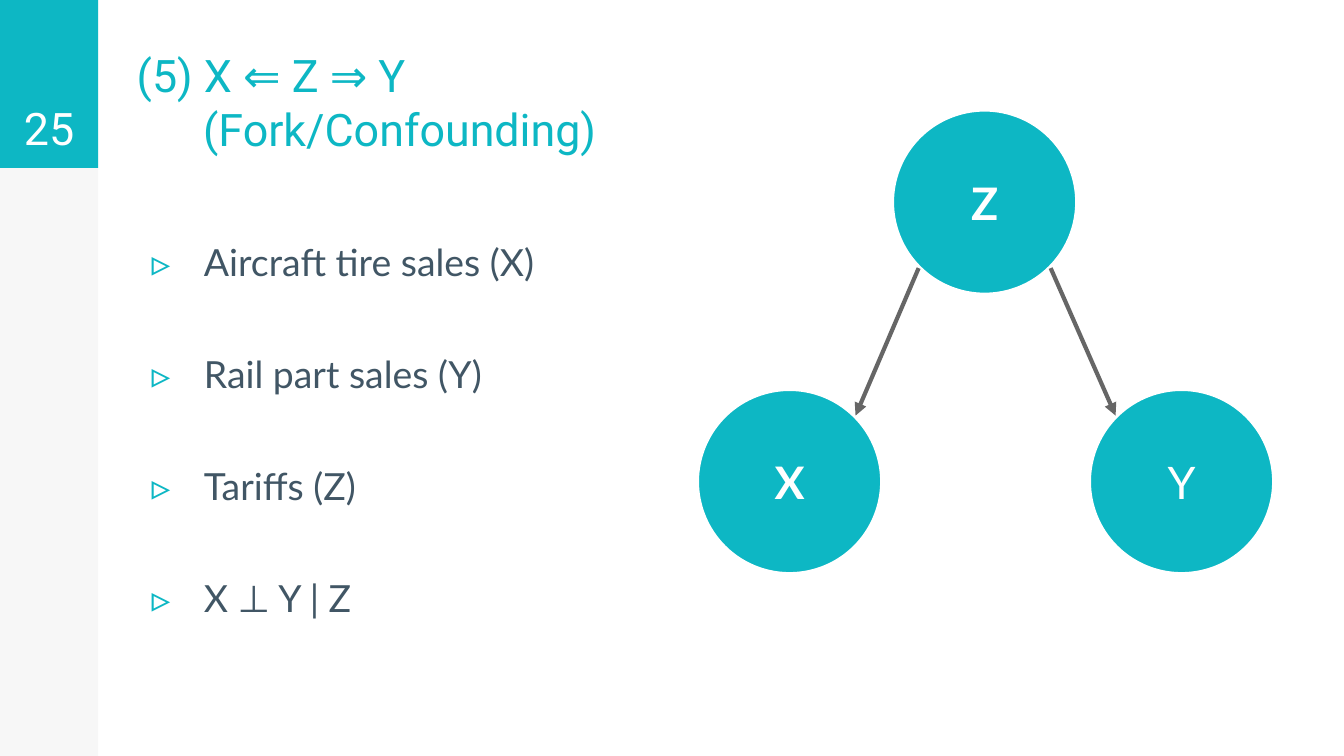
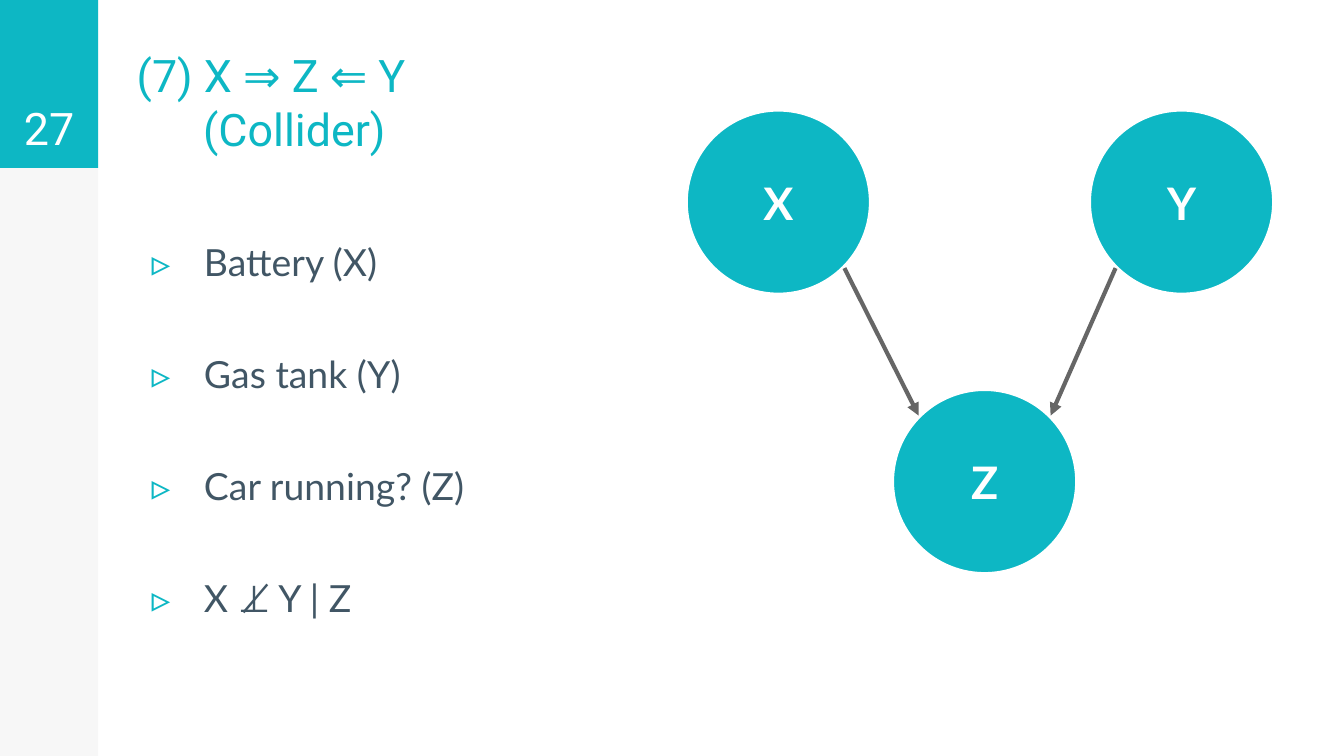
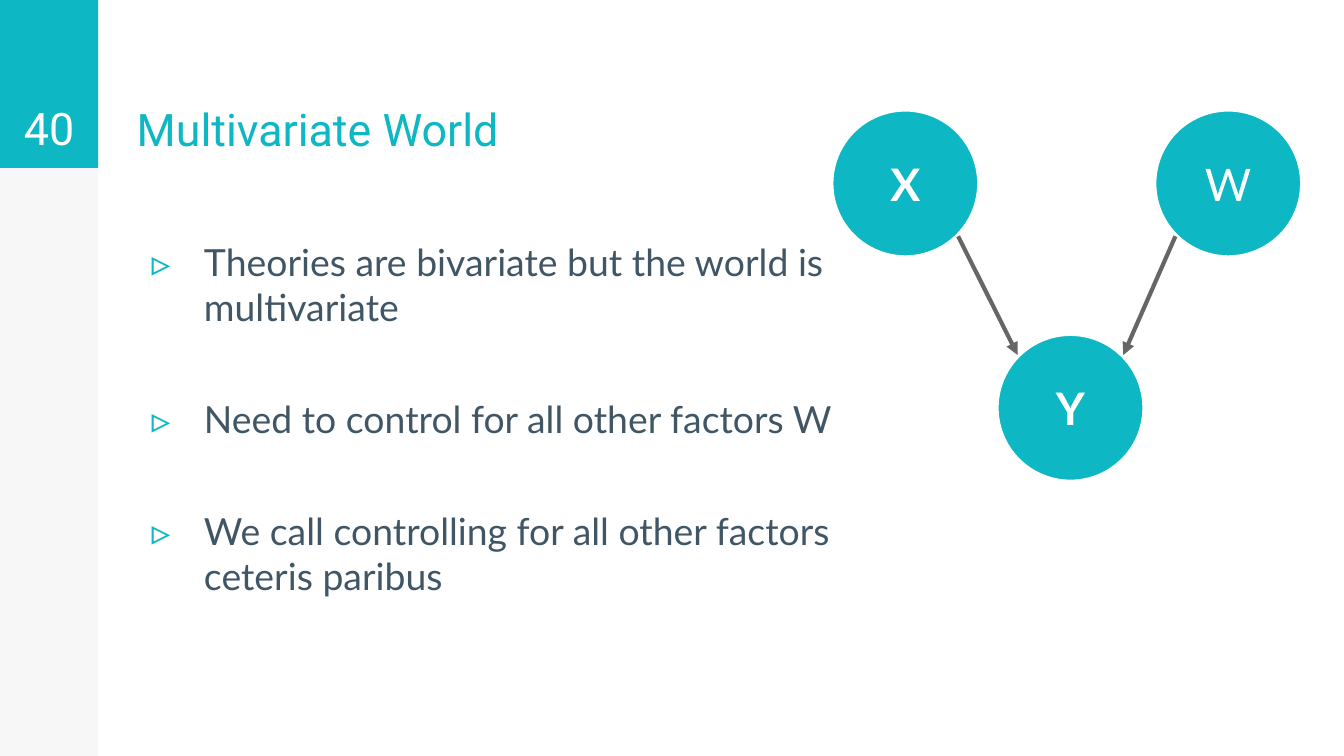
from math import sqrt
from lxml.etree import SubElement
from pptx import Presentation
from pptx.dml.color import RGBColor
from pptx.enum.shapes import MSO_CONNECTOR as Connector, MSO_SHAPE as Shape
from pptx.enum.text import MSO_ANCHOR as Anchor, PP_ALIGN as Align
from pptx.oxml.ns import qn
from pptx.util import Pt

TEAL, SLATE, GRAY, WHITE, BLACK = "0DB7C4", "415665", "666666", "FFFFFF", "000000"
HEADING_FONT, BODY_FONT = "Roboto", "Lato"
SLIDE_WIDTH, SLIDE_HEIGHT = 720, 405
BAND_WIDTH, HEADER_HEIGHT = 52.6, 90
CONTENT_LEFT, BODY_TOP, BODY_HEIGHT = 66.2, 121, 267
TITLE_WIDTH, SUBTITLE_INDENT = 280, 35.6
BULLET_INDENT, BULLET_HANG, BULLET_GAP = 36, -28, 36
NODE_TOP = 58.3

SLIDES = [
    {
        "number": "25",
        "title": ["(5) X ⇐ Z ⇒ Y", "(Fork/Confounding)"],
        "bullets": ["Aircraft tire sales (X)", "Rail part sales (Y)", "Tariffs (Z)", "X ⊥ Y | Z"],
        "body_width": 273.6,
        "node_size": 100,
        "nodes": {"X": (373, 208), "Z": (477.5, NODE_TOP), "Y": (583, 208)},
        "regular": "Y",
        "arrows": ["ZY", "ZX"],
    },
    {
        "number": "27",
        "title": ["(7) X ⇒ Z ⇐ Y", "(Collider)"],
        "bullets": ["Battery (X)", "Gas tank (Y)", "Car running? (Z)", "X ⊥̸ Y | Z"],
        "body_width": 264,
        "node_size": 100,
        "nodes": {"X": (367, NODE_TOP), "Z": (477.5, 208), "Y": (583, NODE_TOP)},
        "regular": "",
        "arrows": ["XZ", "YZ"],
    },
    {
        "number": "40",
        "title": ["Multivariate World"],
        "bullets": [
            "Theories are bivariate but the world is multivariate",
            "Need to control for all other factors W",
            "We call controlling for all other factors ceteris paribus",
        ],
        "body_width": 406.8,
        "node_size": 80,
        "nodes": {"X": (445, NODE_TOP), "Y": (533.5, 178.5), "W": (618, NODE_TOP)},
        "regular": "W",
        "arrows": ["XY", "WY"],
    },
]


def color(hex_string):
    return RGBColor.from_string(hex_string)


def add_bullet(properties):
    properties.set("marL", str(Pt(BULLET_INDENT)))
    properties.set("indent", str(Pt(BULLET_HANG)))
    bullet_color = SubElement(properties, qn("a:buClr"))
    SubElement(bullet_color, qn("a:srgbClr"), val=TEAL)
    SubElement(properties, qn("a:buFont"), typeface=BODY_FONT)
    SubElement(properties, qn("a:buChar"), char="▹")


def write_text(shape, lines, size=24, font=BODY_FONT, fill=WHITE, bold=False, align=Align.LEFT,
               anchor=Anchor.TOP, gap=0, bullets=False, later_indent=0):
    frame = shape.text_frame
    frame.word_wrap = True
    frame.vertical_anchor = anchor
    frame.margin_left = frame.margin_right = frame.margin_top = frame.margin_bottom = Pt(7.2)
    for index, line in enumerate(lines):
        paragraph = frame.paragraphs[0] if index == 0 else frame.add_paragraph()
        paragraph.alignment = align
        properties = paragraph._p.get_or_add_pPr()
        if bullets:
            add_bullet(properties)
        elif index and later_indent:
            properties.set("marL", str(Pt(later_indent)))
        if index and gap:
            paragraph.space_before = Pt(gap)
        run = paragraph.add_run()
        run.text = line
        run.font.size = Pt(size)
        run.font.name = font
        run.font.bold = bold
        run.font.color.rgb = color(fill)


def add_filled(slide, kind, left, top, width, height, fill, outline=None):
    shape = slide.shapes.add_shape(kind, Pt(left), Pt(top), Pt(width), Pt(height))
    shape.shadow.inherit = False
    shape.fill.solid()
    shape.fill.fore_color.rgb = color(fill)
    if outline:
        shape.line.color.rgb = color(outline)
        shape.line.width = Pt(3)
    else:
        shape.line.fill.background()
    return shape


def add_text_box(slide, left, top, width, height, lines, **style):
    box = slide.shapes.add_textbox(Pt(left), Pt(top), Pt(width), Pt(height))
    write_text(box, lines, **style)


def add_frame(slide, number, title):
    side_band = add_filled(slide, Shape.RECTANGLE, 0, 0, BAND_WIDTH, SLIDE_HEIGHT, BLACK)
    band_color = side_band._element.spPr.find(qn("a:solidFill"))[0]
    SubElement(band_color, qn("a:alpha"), val="3000")
    number_band = add_filled(slide, Shape.RECTANGLE, 0, 0, BAND_WIDTH, HEADER_HEIGHT, TEAL)
    write_text(number_band, [number], font=HEADING_FONT, align=Align.CENTER, anchor=Anchor.BOTTOM)
    add_text_box(slide, CONTENT_LEFT, 0.5, TITLE_WIDTH, HEADER_HEIGHT, title, font=HEADING_FONT,
                 fill=TEAL, anchor=Anchor.BOTTOM, later_indent=SUBTITLE_INDENT)


def add_arrow(slide, start, end):
    arrow = slide.shapes.add_connector(Connector.STRAIGHT, *(Pt(value) for value in start + end))
    arrow.line.color.rgb = color(GRAY)
    arrow.line.width = Pt(2.25)
    SubElement(arrow.line._get_or_add_ln(), qn("a:tailEnd"), type="triangle")
    SubElement(arrow._element.spPr, qn("a:effectLst"))


def add_diagram(slide, nodes, size, regular, arrows):
    for name, (left, top) in nodes.items():
        circle = add_filled(slide, Shape.OVAL, left, top, size, size, TEAL, WHITE)
        write_text(circle, [name], bold=name not in regular, align=Align.CENTER, anchor=Anchor.MIDDLE)
    reach = size / 2 / sqrt(2)
    for source, target in arrows:
        start_x, start_y = (value + size / 2 for value in nodes[source])
        end_x, end_y = (value + size / 2 for value in nodes[target])
        side = reach if end_x > start_x else -reach
        add_arrow(slide, (start_x + side, start_y + reach), (end_x - side, end_y - reach))


def main():
    presentation = Presentation()
    presentation.slide_width = Pt(SLIDE_WIDTH)
    presentation.slide_height = Pt(SLIDE_HEIGHT)
    for content in SLIDES:
        slide = presentation.slides.add_slide(presentation.slide_layouts[6])
        add_frame(slide, content["number"], content["title"])
        add_text_box(slide, CONTENT_LEFT, BODY_TOP, content["body_width"], BODY_HEIGHT,
                     content["bullets"], size=20, fill=SLATE, gap=BULLET_GAP, bullets=True)
        add_diagram(slide, content["nodes"], content["node_size"], content["regular"], content["arrows"])
    presentation.save("out.pptx")


if __name__ == "__main__":
    main()
